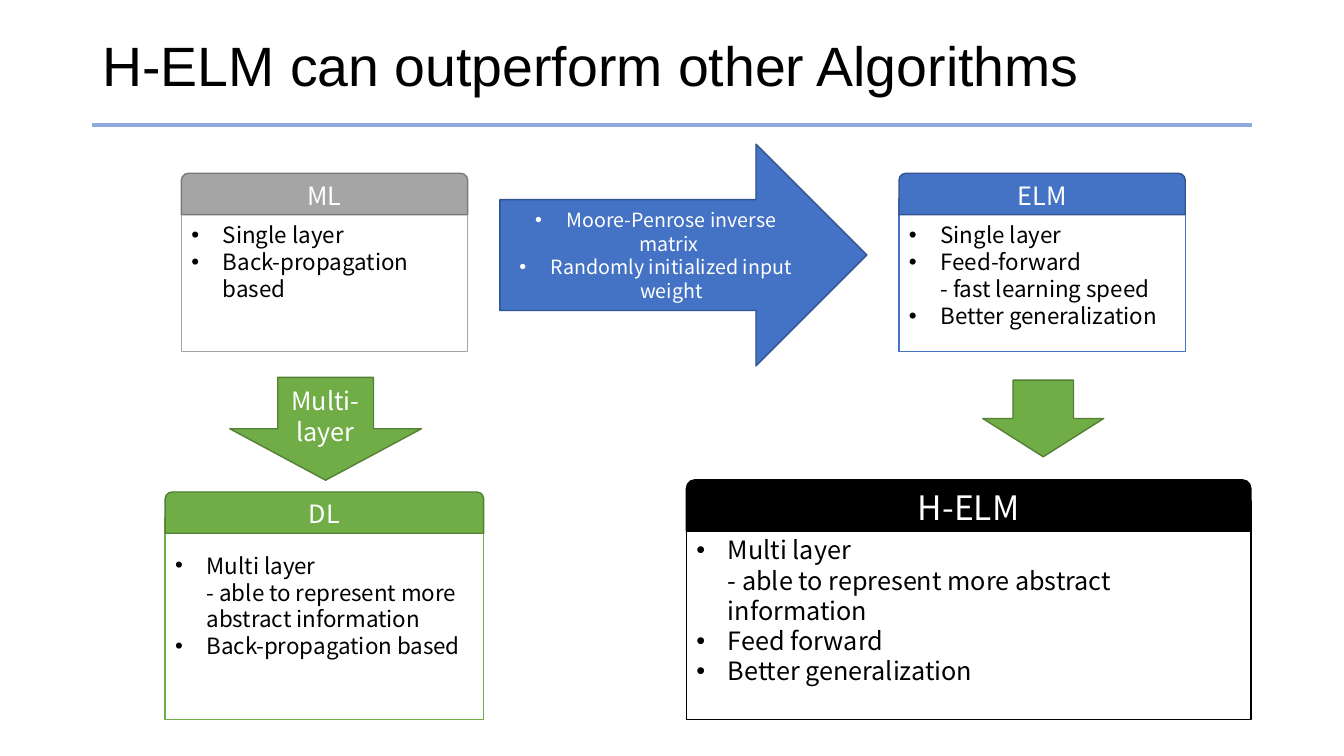
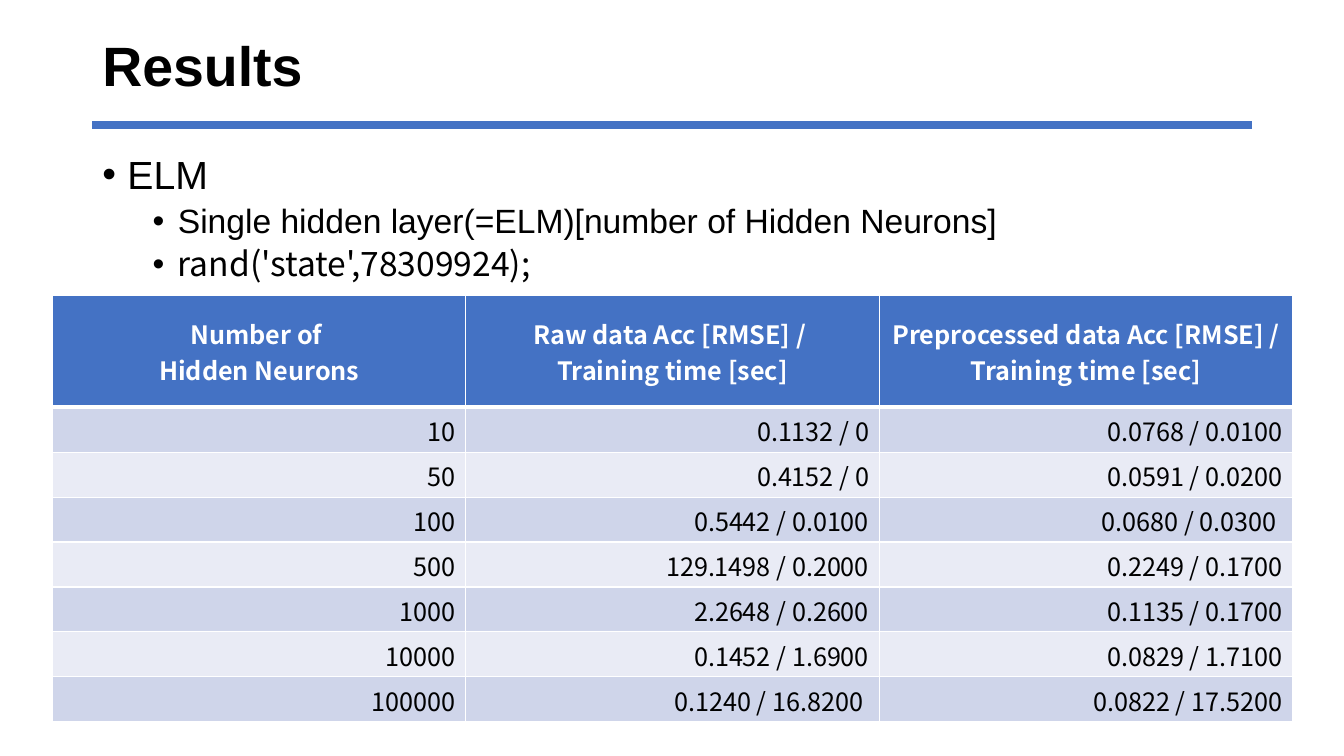
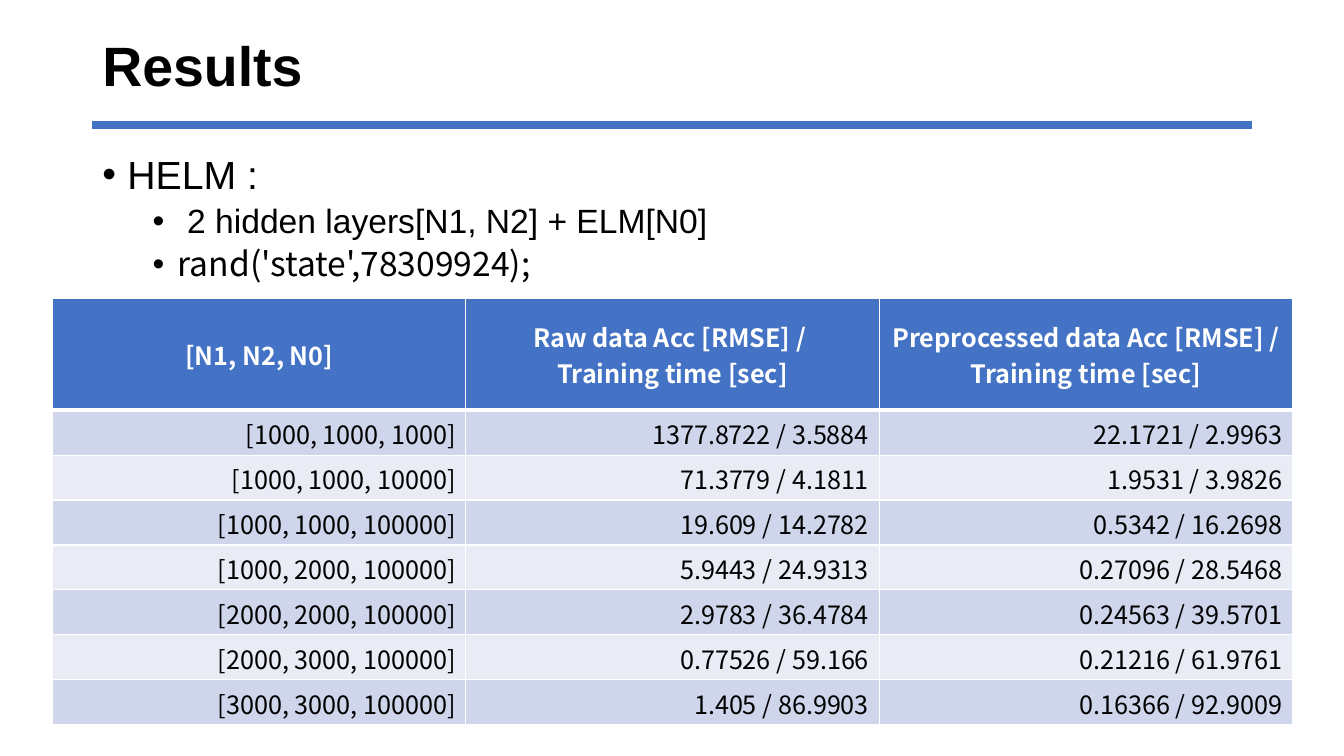
from dataclasses import dataclass, field, replace
from typing import Any, Optional

import lxml.etree
import pptx
import pptx.dml.color
import pptx.enum.shapes
import pptx.enum.text
import pptx.oxml.ns
import pptx.util

Pt = pptx.util.Pt
Shape = pptx.enum.shapes.MSO_SHAPE
Align = pptx.enum.text.PP_ALIGN
Anchor = pptx.enum.text.MSO_ANCHOR
qn = pptx.oxml.ns.qn


@dataclass(frozen=True)
class Theme:
    black: str = "000000"
    white: str = "FFFFFF"
    blue: str = "4472C4"
    navy: str = "325491"
    pale: str = "8FAADC"
    gray: str = "A5A5A5"
    slate: str = "7A7A7A"
    green: str = "70AD47"
    moss: str = "538035"
    bands: tuple[str, str] = ("CFD5EA", "E9EBF5")
    sans: str = "Arial"
    noto: str = "Noto Sans CJK KR"
    title: float = 39.6
    lead: float = 28
    large: float = 24
    mid: float = 18
    text: float = 16
    small: float = 14


T = Theme()


@dataclass(frozen=True)
class Box:
    left: float
    top: float
    width: float
    height: float

    def points(self) -> list[int]:
        return [Pt(n) for n in (self.left, self.top, self.width, self.height)]


@dataclass(frozen=True)
class Para:
    text: str
    size: float
    color: str = T.black
    font: str = T.noto
    bold: bool = False
    align: Any = Align.LEFT
    indent: float = 0
    hang: float = 0
    line: Optional[float] = None
    before: float = 0


@dataclass(frozen=True)
class Card:
    name: str
    head: Box
    drop: float
    depth: float
    fill: str
    edge: str
    items: list[str]
    size: float = T.text
    large: float = T.mid
    lift: float = 0


@dataclass(frozen=True)
class Arrow:
    kind: Any
    box: Box
    fill: str
    edge: str
    paras: list[Para] = field(default_factory=list)


@dataclass(frozen=True)
class Result:
    lead: str
    note: str
    top: float
    key: list[str]
    rows: list[tuple[str, str, str]]


def write(frame: Any, paras: list[Para], anchor: Any = Anchor.MIDDLE) -> None:
    """Fill a text frame; a newline in a text is a line break."""
    frame.word_wrap = True
    frame.vertical_anchor = anchor
    for i, item in enumerate(paras):
        para = frame.add_paragraph() if i else frame.paragraphs[0]
        para.alignment = item.align
        para.space_before = Pt(item.before)
        if item.line:
            para.line_spacing = item.line
        if item.hang:
            props = para._p.get_or_add_pPr()
            props.set("marL", str(Pt(item.indent)))
            props.set("indent", str(-Pt(item.hang)))
            lxml.etree.SubElement(props, qn("a:buFont"), typeface=T.sans)
            lxml.etree.SubElement(props, qn("a:buChar"), char="•")
        for j, part in enumerate(item.text.split("\n")):
            if j:
                para.add_line_break()
            run = para.add_run()
            run.text = part
            run.font.name = item.font
            run.font.size = Pt(item.size)
            run.font.bold = item.bold
            run.font.color.rgb = pptx.dml.color.RGBColor.from_string(item.color)


def paint(fill: Any, color: str) -> None:
    fill.solid()
    fill.fore_color.rgb = pptx.dml.color.RGBColor.from_string(color)


def draw(slide: Any, kind: Any, box: Box, fill: str, edge: str) -> Any:
    shape = slide.shapes.add_shape(kind, *box.points())
    shape.shadow.inherit = False
    paint(shape.fill, fill)
    paint(shape.line.fill, edge)
    shape.line.width = Pt(1)
    return shape


def bullet(text: str, size: float, color: str = T.black,
           align: Any = Align.LEFT) -> Para:
    return Para(text, size, color, align=align, indent=22.5, hang=22.5)


def start(deck: Any, title: str, color: str, weight: float,
          bold: bool = False) -> Any:
    """Add a slide with its title and the rule below it."""
    slide = deck.slides.add_slide(deck.slide_layouts[6])
    box = slide.shapes.add_textbox(*Box(66, 21.6, 828, 54).points())
    write(box.text_frame,
          [Para(title, T.title, font=T.sans, bold=bold, line=0.9)])
    rule = slide.shapes.add_connector(
        pptx.enum.shapes.MSO_CONNECTOR.STRAIGHT,
        Pt(66), Pt(89.3), Pt(894), Pt(89.3))
    paint(rule.line.fill, color)
    rule.line.width = Pt(weight)
    lxml.etree.SubElement(rule._element.spPr, qn("a:effectLst"))
    return slide


def add_card(slide: Any, card: Card) -> None:
    head = card.head
    room = replace(head, top=head.top + card.drop, height=card.depth)
    body = draw(slide, Shape.RECTANGLE, room, T.white, card.fill)
    write(body.text_frame, [bullet(t, card.size) for t in card.items])
    body.text_frame.margin_bottom = Pt(3.6 + card.lift)
    tab = draw(slide, Shape.ROUND_2_SAME_RECTANGLE, head, card.fill, card.edge)
    write(tab.text_frame,
          [Para(card.name, card.large, T.white, align=Align.CENTER)])


def add_arrow(slide: Any, arrow: Arrow) -> None:
    shape = draw(slide, arrow.kind, arrow.box, arrow.fill, arrow.edge)
    write(shape.text_frame, arrow.paras)


def border(cell: Any, top: float, base: float) -> None:
    props = cell._tc.get_or_add_tcPr()
    for side, width in zip("LRTB", (1, 1, top, base)):
        line = lxml.etree.SubElement(props, qn(f"a:ln{side}"),
                                     w=str(Pt(width)))
        fill = lxml.etree.SubElement(line, qn("a:solidFill"))
        lxml.etree.SubElement(fill, qn("a:srgbClr"), val=T.white)


def add_table(slide: Any, data: Result) -> None:
    heads = [data.key,
             ["Raw data Acc [RMSE] / ", "Training time [sec]"],
             ["Preprocessed data Acc [RMSE] /", "Training time [sec]"]]
    count = len(data.rows) + 1
    box = Box(37.6, data.top, 885.6, 304.6)
    table = slide.shapes.add_table(count, 3, *box.points()).table
    for col in table.columns:
        col.width = Pt(box.width / 3)
    for i, row in enumerate(table.rows):
        row.height = Pt(32.1 if i else 79.9)
        for j, cell in enumerate(row.cells):
            border(cell, 3 if i == 1 else 1, 1 if i else 3)
            if i:
                paint(cell.fill, T.bands[(i - 1) % 2])
                paras = [Para(data.rows[i - 1][j], T.mid, align=Align.RIGHT)]
            else:
                paint(cell.fill, T.blue)
                paras = [Para(t, T.mid, T.white, bold=True,
                              align=Align.CENTER) for t in heads[j]]
            write(cell.text_frame, paras)
            cell.vertical_anchor = Anchor.TOP if i else Anchor.MIDDLE


def add_result(deck: Any, data: Result) -> None:
    slide = start(deck, "Results", T.blue, 6.13, bold=True)
    box = slide.shapes.add_textbox(*Box(66, 107.3, 828, 416).points())
    lead = Para(data.lead, T.lead, font=T.sans, indent=18, hang=18,
                line=0.9, before=10)
    note = replace(lead, text=data.note, size=T.large, indent=54, before=5)
    seed = replace(note, text="rand('state',78309924);", font=T.noto)
    write(box.text_frame, [lead, note, seed], Anchor.TOP)
    add_table(slide, data)


DEEP = "Multi layer\n- able to represent more abstract information"

CARDS = [
    Card("ML", Box(129.6, 123.8, 204.5, 29.5), 18, 109.4, T.gray, T.slate,
         ["Single layer", "Back-propagation based"], lift=19),
    Card("ELM", Box(642.2, 123.8, 204.5, 29.5), 18, 109.4, T.blue, T.navy,
         ["Single layer", "Feed-forward\n- fast learning speed",
          "Better generalization"]),
    Card("DL", Box(118, 351.4, 227.5, 29.5), 18.7, 144, T.green, T.moss,
         [DEEP, "Back-propagation based"], lift=19),
    Card("H-ELM", Box(490.3, 342.7, 403.2, 36.7), 15.1, 156.2,
         T.black, T.black, [DEEP, "Feed forward", "Better generalization"],
         size=T.mid, large=T.large),
]

ARROWS = [
    Arrow(Shape.RIGHT_ARROW, Box(357.1, 103, 262.1, 158.4), T.blue, T.navy,
          [bullet(t, T.small, T.white, Align.CENTER) for t in
           ("Moore-Penrose inverse matrix ",
            "Randomly initialized input weight")]),
    Arrow(Shape.DOWN_ARROW, Box(164.2, 269.6, 136.8, 73.4), T.green, T.moss,
          [Para("Multi-layer", T.mid, T.white, align=Align.CENTER)]),
    Arrow(Shape.DOWN_ARROW, Box(702, 271.6, 86.4, 54.7), T.green, T.moss),
]

RESULTS = [
    Result("ELM", "Single hidden layer(=ELM)[number of Hidden Neurons]", 211,
           ["Number of ", "Hidden Neurons"], [
               ("10", "0.1132 / 0", "0.0768 / 0.0100"),
               ("50", "0.4152 / 0", "0.0591 / 0.0200"),
               ("100", "0.5442 / 0.0100", "0.0680 / 0.0300 "),
               ("500", "129.1498 / 0.2000", "0.2249 / 0.1700"),
               ("1000", "2.2648 / 0.2600", "0.1135 / 0.1700"),
               ("10000", "0.1452 / 1.6900", "0.0829 / 1.7100"),
               ("100000", "0.1240 / 16.8200 ", "0.0822 / 17.5200"),
           ]),
    Result("HELM :", " 2 hidden layers[N1, N2] + ELM[N0]", 213.1,
           ["[N1, N2, N0]"], [
               ("[1000, 1000, 1000]", "1377.8722 / 3.5884",
                "22.1721 / 2.9963"),
               ("[1000, 1000, 10000]", "71.3779 / 4.1811", "1.9531 / 3.9826"),
               ("[1000, 1000, 100000]", "19.609 / 14.2782",
                "0.5342 / 16.2698"),
               ("[1000, 2000, 100000]", "5.9443 / 24.9313",
                "0.27096 / 28.5468"),
               ("[2000, 2000, 100000]", "2.9783 / 36.4784",
                "0.24563 / 39.5701"),
               ("[2000, 3000, 100000]", "0.77526 / 59.166",
                "0.21216 / 61.9761"),
               ("[3000, 3000, 100000]", "1.405 / 86.9903",
                "0.16366 / 92.9009"),
           ]),
]


def main() -> None:
    deck = pptx.Presentation()
    deck.slide_width, deck.slide_height = Pt(960), Pt(540)
    slide = start(deck, "H-ELM can outperform other Algorithms", T.pale, 3.16)
    for card in CARDS:
        add_card(slide, card)
    for arrow in ARROWS:
        add_arrow(slide, arrow)
    for data in RESULTS:
        add_result(deck, data)
    deck.save("out.pptx")


if __name__ == "__main__":
    main()
